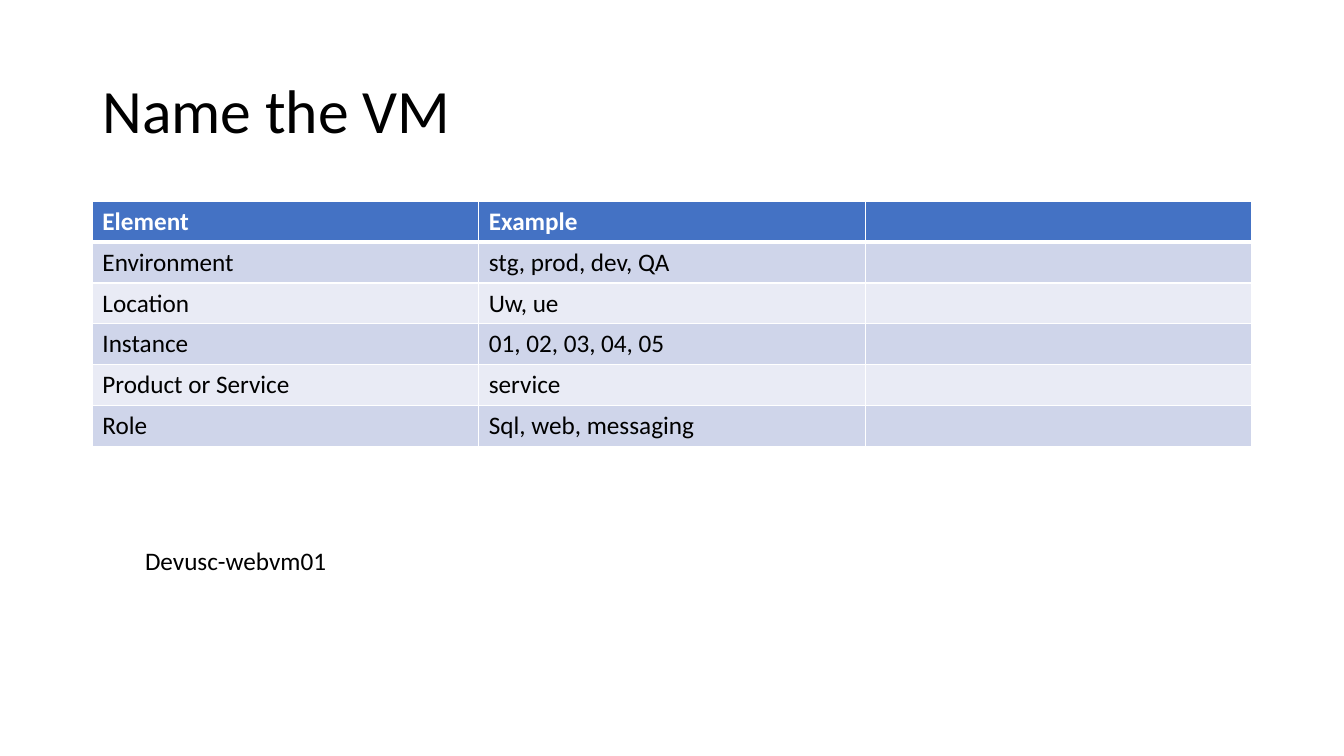
from dataclasses import dataclass

from lxml import etree
from pptx import Presentation
from pptx.dml.color import RGBColor as Rgb
from pptx.enum import text as t
from pptx.oxml import ns
from pptx.util import Pt


@dataclass(frozen=True)
class Theme:
    font: str = "Calibri"
    ink: str = "000000"
    white: str = "FFFFFF"
    head: str = "4472C4"
    bands: tuple = ("CFD5EA", "E9EBF5")
    title: int = 44
    body: int = 18
    thin: int = 1
    thick: int = 3


THEME = Theme()
ROWS = [
    ("Element", "Example", ""),
    ("Environment", "stg, prod, dev, QA", ""),
    ("Location", "Uw, ue", ""),
    ("Instance", "01, 02, 03, 04, 05", ""),
    ("Product or Service", "service", ""),
    ("Role", "Sql, web, messaging", ""),
]
LEFT, WIDTH = 66, 828
ROW_H = 29.2


def add_run(para, words, size, color=THEME.ink, bold=False):
    run = para.add_run()
    run.text = words
    font = run.font
    font.name, font.size, font.bold = THEME.font, Pt(size), bold
    font.color.rgb = Rgb.from_string(color)


def add_title(slide, words):
    title = slide.shapes.title
    title.left, title.top = Pt(LEFT), Pt(28.75)
    title.width, title.height = Pt(WIDTH), Pt(104.38)
    frame = title.text_frame
    frame.vertical_anchor = t.MSO_ANCHOR.MIDDLE
    frame.auto_size = t.MSO_AUTO_SIZE.NONE
    para = frame.paragraphs[0]
    para.alignment = t.PP_ALIGN.LEFT
    para.line_spacing = 0.9
    add_run(para, words, THEME.title)


def add_edge(cell, side, width):
    props = cell._tc.get_or_add_tcPr()
    line = etree.SubElement(props, ns.qn(f"a:ln{side}"), w=str(Pt(width)))
    fill = etree.SubElement(line, ns.qn("a:solidFill"))
    etree.SubElement(fill, ns.qn("a:srgbClr"), val=THEME.white)


def style_cell(cell, row, words):
    # Edges come before the fill in the cell properties
    wide = {0: "B", 1: "T"}.get(row)
    for side in "LRTB":
        add_edge(cell, side, THEME.thick if side == wide else THEME.thin)
    cell.fill.solid()
    fill = THEME.bands[(row - 1) % 2] if row else THEME.head
    cell.fill.fore_color.rgb = Rgb.from_string(fill)
    para = cell.text_frame.paragraphs[0]
    para.font.size = Pt(THEME.body)
    if words:
        color = THEME.ink if row else THEME.white
        add_run(para, words, THEME.body, color, bold=row == 0)


def add_table(slide, rows):
    count = len(rows[0])
    frame = slide.shapes.add_table(len(rows), count, Pt(LEFT), Pt(143.75),
                                   Pt(WIDTH), Pt(ROW_H * len(rows)))
    table = frame.table
    for col in table.columns:
        col.width = Pt(WIDTH / count)
    for r, row in enumerate(rows):
        table.rows[r].height = Pt(ROW_H)
        for c, words in enumerate(row):
            style_cell(table.cell(r, c), r, words)


def add_label(slide, words, left, top, width, height):
    box = slide.shapes.add_textbox(Pt(left), Pt(top), Pt(width), Pt(height))
    frame = box.text_frame
    frame.word_wrap = False
    frame.auto_size = t.MSO_AUTO_SIZE.SHAPE_TO_FIT_TEXT
    add_run(frame.paragraphs[0], words, THEME.body)


def main():
    deck = Presentation()
    deck.slide_width, deck.slide_height = Pt(960), Pt(540)
    # Title-only layout
    slide = deck.slides.add_slide(deck.slide_layouts[5])
    add_title(slide, "Name the VM")
    # Naming parts and a sample name
    add_table(slide, ROWS)
    add_label(slide, "Devusc-webvm01", 96.5, 386, 145.5, 29)
    deck.save("out.pptx")


if __name__ == "__main__":
    main()
